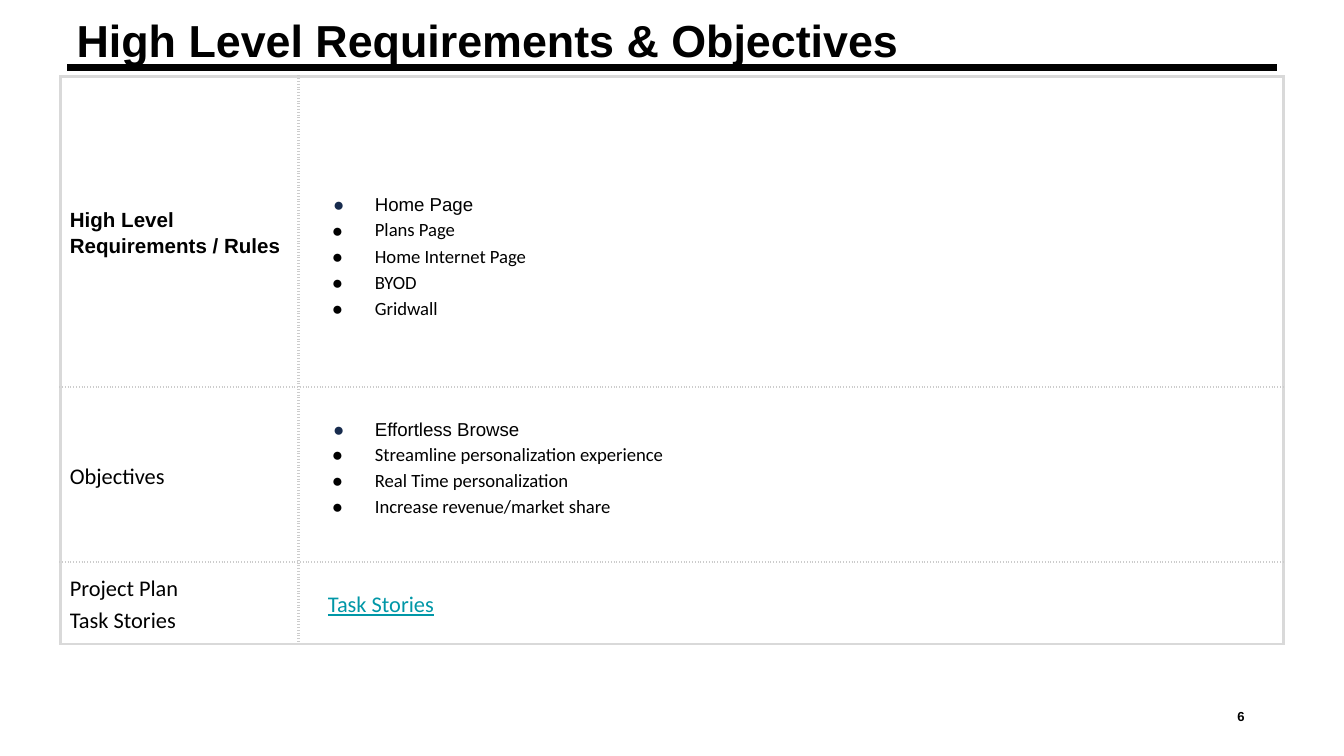
from pptx import Presentation
from pptx.dml.color import RGBColor as Rgb
from pptx.enum.shapes import MSO_CONNECTOR as Conn
from pptx.enum.text import MSO_ANCHOR as Anchor, PP_ALIGN as Align
from pptx.oxml import parse_xml
from pptx.oxml.ns import nsdecls
from pptx.util import Inches, Pt

THEME = {
    "ink": "000000", "paper": "FFFFFF", "navy": "172B4D", "link": "0097A7",
    "edge": "D9D9D9", "grid": "CCCCCC", "head": "Arial", "body": "Calibri",
    "title": 24, "label": 12, "rule": 11, "item": 10, "page": 7,
}
WIDE = 10
TITLE = "High Level Requirements & Objectives"
PAGE = "6"
COLS = [1.77, 7.33]
ROWS = [
    {"high": 2.31, "label": ["High Level Requirements / Rules"], "strong": True,
     "items": ["Home Page", "Plans Page", "Home Internet Page", "BYOD", "Gridwall"],
     "pad": (0.39, 0.03)},
    {"high": 1.3, "label": ["Objectives"],
     "items": ["Effortless Browse", "Streamline personalization experience",
               "Real Time personalization", "Increase revenue/market share"],
     "pad": (0.03, 0.13)},
    {"high": 0.61, "label": ["Project Plan", "Task Stories"], "link": "Task Stories"},
]


def put(frame, text, size="label", font="body", color="ink", bold=False, under=False,
        align=Align.LEFT, gap=1.15, left=0, hang=0, dot=None):
    para = frame.paragraphs[0]
    if para.runs:
        para = frame.add_paragraph()
    props = para._p.get_or_add_pPr()
    props.set("marL", str(Inches(left)))
    props.set("indent", str(Inches(hang)))
    para.line_spacing = gap
    para.alignment = align
    if dot:
        for mark in (f'buClr {nsdecls("a")}><a:srgbClr val="{THEME[dot]}"/></a:buClr>',
                     f'buFont {nsdecls("a")} typeface="{THEME["head"]}"/>',
                     f'buChar {nsdecls("a")} char="●"/>'):
            props.append(parse_xml("<a:" + mark))
    run = para.add_run()
    run.text = text
    run.font.name = THEME[font]
    run.font.size = Pt(THEME[size])
    run.font.bold = bold
    run.font.underline = under
    run.font.color.rgb = Rgb.from_string(THEME[color])


def box(slide, spot, text, anchor, **form):
    frame = slide.shapes.add_textbox(*map(Inches, spot)).text_frame
    frame.word_wrap = True
    frame.vertical_anchor = anchor
    frame.margin_left = frame.margin_right = frame.margin_top = frame.margin_bottom = 0
    put(frame, text, font="head", bold=True, **form)


def style(cell, outer, pad=(0.03, 0.03)):
    cell.vertical_anchor = Anchor.MIDDLE
    cell.margin_left, cell.margin_right = Inches(0.07), Inches(0.05)
    cell.margin_top, cell.margin_bottom = map(Inches, pad)
    props = cell._tc.get_or_add_tcPr()
    for side in "LRTB":
        tone, dash = ("edge", "solid") if side in outer else ("grid", "dot")
        props.append(parse_xml(
            f'<a:ln{side} {nsdecls("a")} w="{Pt(1.5)}"><a:solidFill>'
            f'<a:srgbClr val="{THEME[tone]}"/></a:solidFill>'
            f'<a:prstDash val="{dash}"/></a:ln{side}>'))
    cell.fill.solid()
    cell.fill.fore_color.rgb = Rgb.from_string(THEME["paper"])


def build(slide):
    line = slide.shapes.add_connector(
        Conn.STRAIGHT, Inches(0.5), Inches(0.5), Inches(9.5), Inches(0.5))
    line.line.color.rgb = Rgb.from_string(THEME["ink"])
    line.line.width = Pt(3.75)
    line._element.spPr.append(parse_xml(f'<a:effectLst {nsdecls("a")}/>'))
    box(slide, (9.01, 5.14, 0.25, 0.25), PAGE, Anchor.BOTTOM,
        size="page", align=Align.RIGHT, gap=1)
    box(slide, (0.57, 0.17, 8.99, 0.37), TITLE, Anchor.TOP, size="title", gap=0.8)

    high = sum(row["high"] for row in ROWS)
    table = slide.shapes.add_table(
        len(ROWS), len(COLS), Inches(0.45), Inches(0.57),
        Inches(sum(COLS)), Inches(high)).table
    table.first_row = table.horz_banding = False
    for col, wide in zip(table.columns, COLS):
        col.width = Inches(wide)
    for num, row in enumerate(ROWS):
        table.rows[num].height = Inches(row["high"])
        ends = ("T" if num == 0 else "") + ("B" if num == len(ROWS) - 1 else "")
        name, body = table.cell(num, 0), table.cell(num, 1)
        style(name, "L" + ends)
        style(body, "R" + ends, row.get("pad", (0.03, 0.03)))
        strong = row.get("strong", False)
        for text in row["label"]:
            put(name.text_frame, text, bold=strong,
                size="rule" if strong else "label", font="head" if strong else "body")
        for pos, text in enumerate(row.get("items", [])):
            font, dot, hang = ("body", "ink", -0.32) if pos else ("head", "navy", -0.31)
            put(body.text_frame, text, size="item", font=font, dot=dot,
                left=0.5, hang=hang)
        if "link" in row:
            put(body.text_frame, row["link"], color="link", under=True,
                left=0.25, hang=-0.1)


def main():
    deck = Presentation()
    deck.slide_width, deck.slide_height = Inches(WIDE), Inches(WIDE * 9 / 16)
    build(deck.slides.add_slide(deck.slide_layouts[6]))
    deck.save("out.pptx")


if __name__ == "__main__":
    main()
